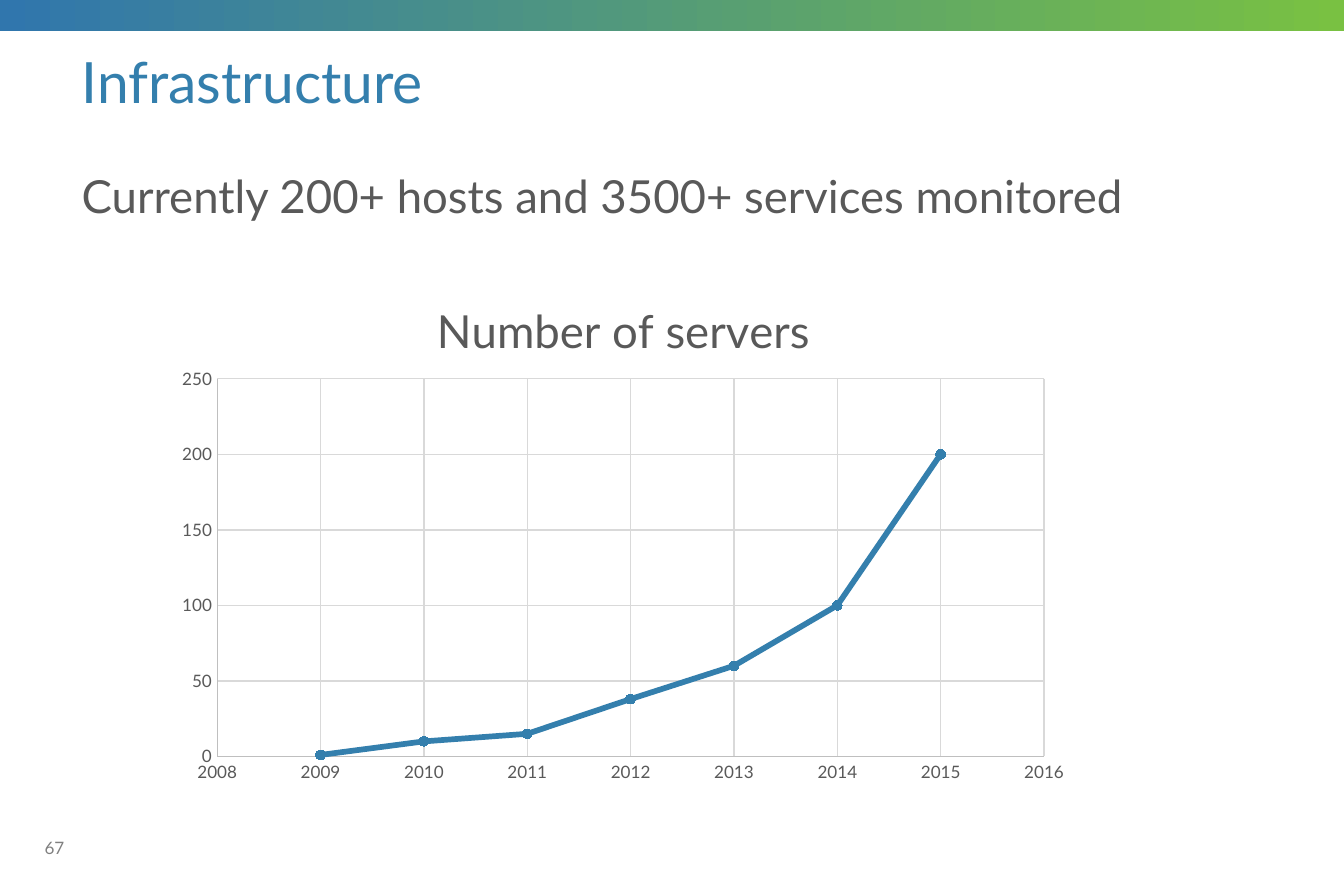
from dataclasses import dataclass

import pptx
import pptx.chart.data
import pptx.dml.color
import pptx.enum.chart
import pptx.enum.shapes
import pptx.enum.text
import pptx.oxml
import pptx.oxml.ns
import pptx.util
from pptx.util import Cm


@dataclass(frozen=True)
class Theme:
    font: str = "Lato"
    blue: str = "347FAD"
    text: str = "595959"
    muted: str = "808080"
    axis: str = "BFBFBF"
    grid: str = "D9D9D9"
    band: tuple = ("3076AD", "79C142")
    title_size: int = 30
    body_size: int = 24
    small_size: int = 9


def rgb(color):
    return pptx.dml.color.RGBColor.from_string(color)


class Deck:
    def __init__(self, prs, theme):
        self.theme = theme
        self.s = prs.slides.add_slide(prs.slide_layouts[6])

    def set_font(self, font, size, color):
        font.name = self.theme.font
        font.size = pptx.util.Pt(size)
        font.bold = False
        font.color.rgb = rgb(color)

    def set_line(self, line, color, width):
        line.color.rgb = rgb(color)
        line.width = pptx.util.Pt(width)

    def band(self, x, y, w, h):
        sp = self.s.shapes.add_shape(
            pptx.enum.shapes.MSO_SHAPE.RECTANGLE, Cm(x), Cm(y), Cm(w), Cm(h))
        sp.shadow.inherit = False
        sp.line.fill.background()
        sp.fill.gradient()
        sp.fill.gradient_angle = 0
        for stop, color in zip(sp.fill.gradient_stops, self.theme.band):
            stop.color.rgb = rgb(color)

    def text(self, text, x, y, w, h, size, color, middle=False, spacing=1.0):
        tf = self.s.shapes.add_textbox(Cm(x), Cm(y), Cm(w), Cm(h)).text_frame
        tf.word_wrap = True
        anchor = pptx.enum.text.MSO_ANCHOR
        tf.vertical_anchor = anchor.MIDDLE if middle else anchor.TOP
        p = tf.paragraphs[0]
        p.text = text
        p.line_spacing = spacing
        self.set_font(p.font, size, color)

    def style_axis(self, axis, low, high, step):
        axis.minimum_scale, axis.maximum_scale, axis.major_unit = low, high, step
        axis.major_tick_mark = axis.minor_tick_mark = pptx.enum.chart.XL_TICK_MARK.NONE
        axis.has_major_gridlines = True
        self.set_line(axis.major_gridlines.format.line, self.theme.grid, 0.75)
        self.set_line(axis.format.line, self.theme.axis, 0.75)
        self.set_font(axis.tick_labels.font, self.theme.small_size, self.theme.text)
        axis.tick_labels.number_format = "0"
        axis.tick_labels.number_format_is_linked = False

    def place_plot(self, chart, **box):
        area = chart.plots[0]._element.getparent()
        for old in area.findall(pptx.oxml.ns.qn("c:layout")):
            area.remove(old)
        sides = "".join(f'<c:{k} val="{v}"/>' for k, v in box.items())
        area.insert(0, pptx.oxml.parse_xml(
            f'<c:layout {pptx.oxml.ns.nsdecls("c")}><c:manualLayout>'
            '<c:layoutTarget val="inner"/><c:xMode val="edge"/><c:yMode val="edge"/>'
            f'{sides}</c:manualLayout></c:layout>'))

    def scatter(self, title, points, x, y, w, h):
        data = pptx.chart.data.XyChartData()
        series = data.add_series("Series 1")
        for year, servers in points:
            series.add_data_point(year, servers)
        chart = self.s.shapes.add_chart(
            pptx.enum.chart.XL_CHART_TYPE.XY_SCATTER_LINES,
            Cm(x), Cm(y), Cm(w), Cm(h), data).chart
        self.set_font(chart.font, 10, self.theme.text)
        chart.has_legend = False
        chart.has_title = True
        p = chart.chart_title.text_frame.paragraphs[0]
        p.text = title
        self.set_font(p.font, self.theme.body_size, self.theme.text)
        chart.chart_title.include_in_layout = False
        plot = chart.plots[0]
        plot.vary_by_categories = False
        line = plot.series[0]
        self.set_line(line.format.line, self.theme.blue, 3)
        line.marker.style = pptx.enum.chart.XL_MARKER_STYLE.CIRCLE
        line.marker.size = 5
        line.marker.format.fill.solid()
        line.marker.format.fill.fore_color.rgb = rgb(self.theme.blue)
        self.set_line(line.marker.format.line, self.theme.blue, 0.75)
        self.style_axis(chart.category_axis, 2008, 2016, 1)
        self.style_axis(chart.value_axis, 0, 250, 50)
        self.place_plot(chart, x=0.058, y=0.205, w=0.9, h=0.722)


def main():
    prs = pptx.Presentation()
    prs.slide_width, prs.slide_height = Cm(25), Cm(16.66)
    theme = Theme()
    deck = Deck(prs, theme)
    deck.band(0, 0, 25, 0.58)
    deck.text("Infrastructure", 1.27, 0.61, 22.45, 1.96,
              theme.title_size, theme.blue, middle=True, spacing=0.9)
    deck.text("67", 0.58, 15.32, 0.91, 0.89,
              theme.small_size, theme.muted, middle=True)
    deck.text("Currently 200+ hosts and 3500+ services monitored",
              1.27, 3, 22.45, 11.79, theme.body_size, theme.text)
    servers = [1, 10, 15, 38, 60, 100, 200]
    deck.scatter("Number of servers", enumerate(servers, 2009),
                 3.05, 5.05, 17.09, 9.73)
    prs.save("out.pptx")


if __name__ == "__main__":
    main()
